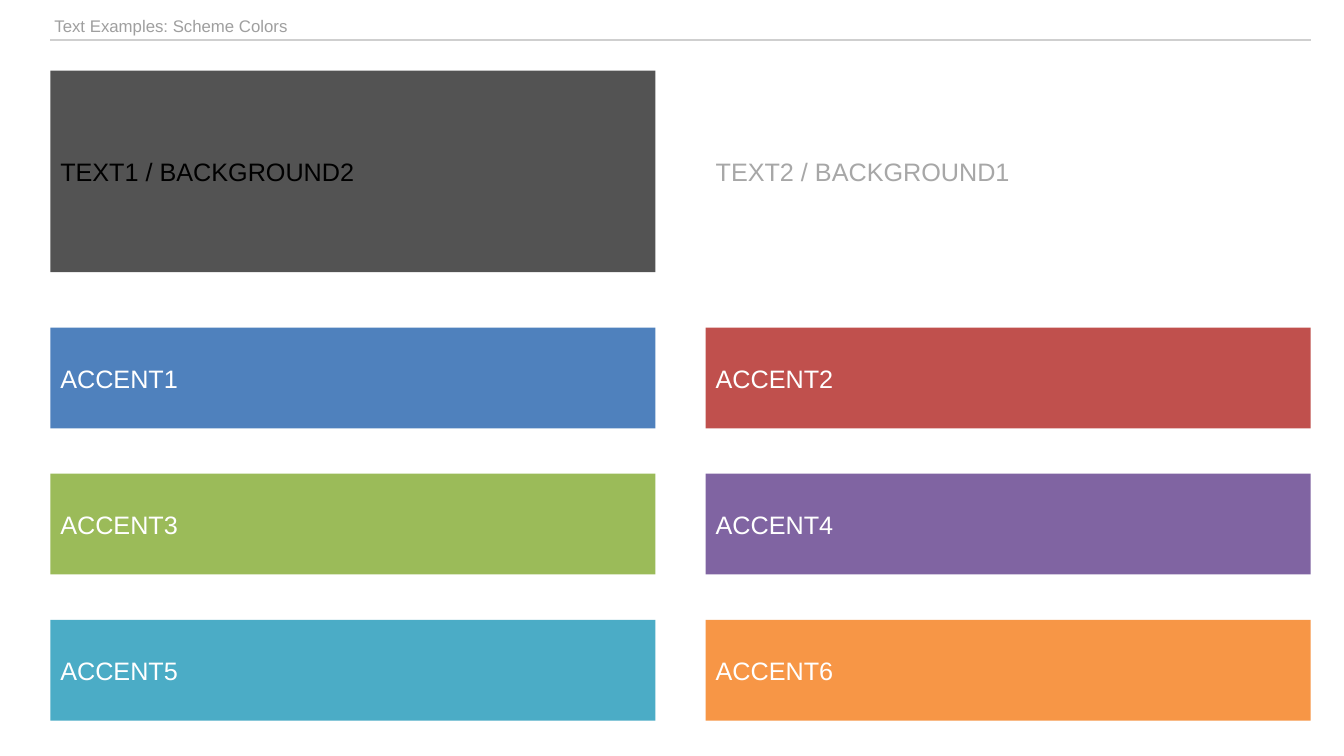
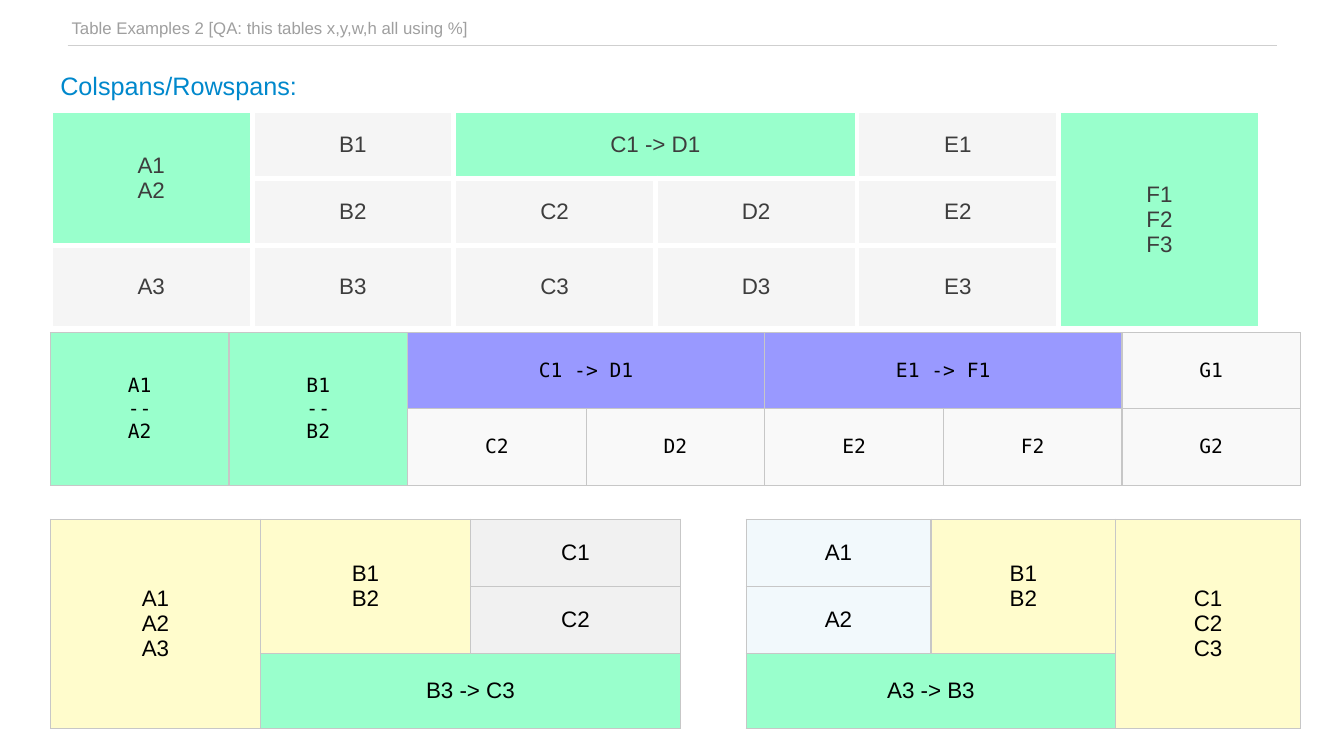
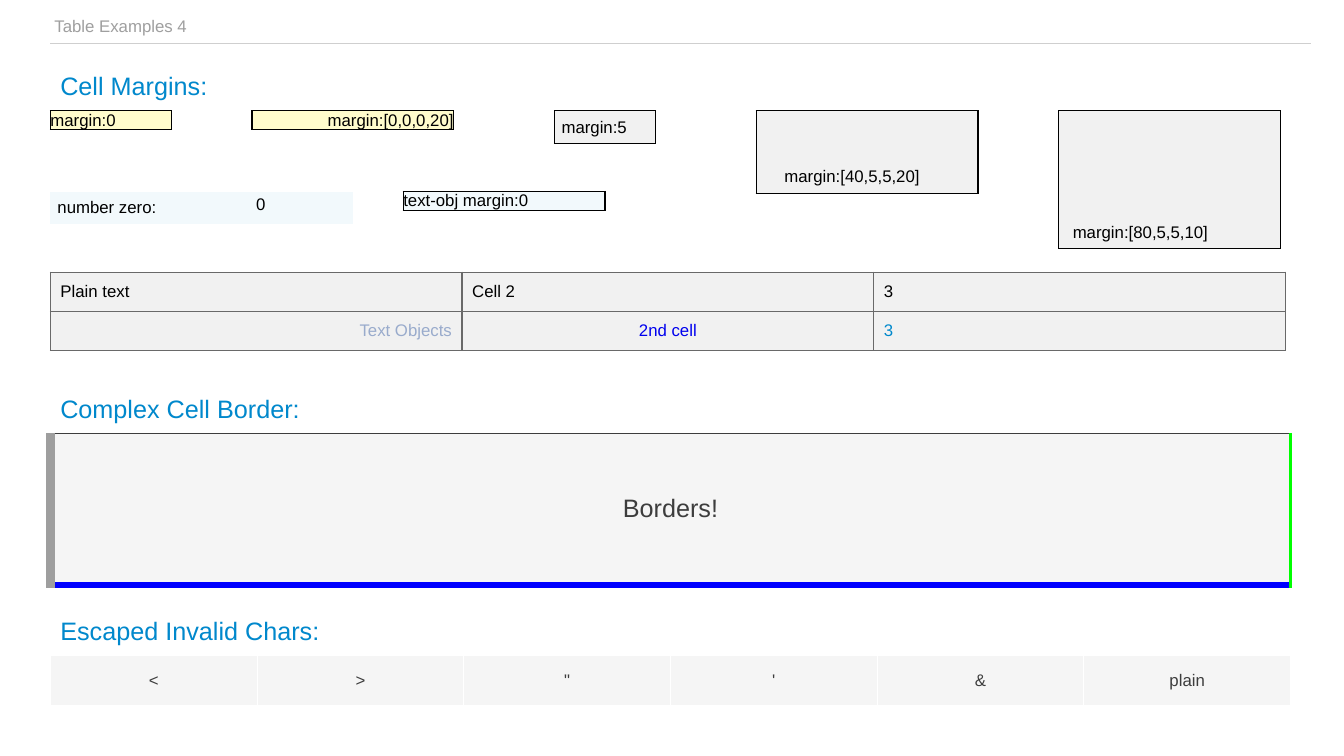
from lxml import etree
from pptx import Presentation
from pptx.dml.color import RGBColor
from pptx.enum import shapes, text
from pptx.oxml import ns
from pptx.util import Inches, Pt

COLORS = {
    "white": "FFFFFF", "black": "000000", "ink": "3D3D3D", "title": "9F9F9F",
    "rule": "CFCFCF", "heading": "0088CC", "slate": "535353", "silver": "A7A7A7",
    "accent1": "4F81BD", "accent2": "C0504D", "accent3": "9BBB59",
    "accent4": "8064A2", "accent5": "4BACC6", "accent6": "F79646",
    "mint": "99FFCC", "lilac": "9999FF", "yellow": "FFFCCC", "ice": "F2F9FC",
    "pale": "F5F5F5", "paler": "F9F9F9", "light": "F1F1F1",
    "grid": "C7C7C7", "dark grid": "696969", "steel": "99ABCC",
    "link": "0000EE", "gray": "9E9E9E", "green": "00FF00", "blue": "0000FF",
}
FONT, MONO = "Arial", "DejaVu Sans Mono"
LEFT, CENTER, RIGHT = text.PP_ALIGN.LEFT, text.PP_ALIGN.CENTER, text.PP_ALIGN.RIGHT
TOP, MIDDLE = text.MSO_ANCHOR.TOP, text.MSO_ANCHOR.MIDDLE
NO_STYLE = "{2D5ABB26-0587-4C30-8999-92F81FD0307C}"
PAD = (0.04,) * 4
FLUSH = (0,) * 4


def write(frame, content, size=12, color="black", font=FONT, align=LEFT):
    frame.text = content
    frame.word_wrap = True
    for line in frame.paragraphs:
        line.alignment = align
        line.font.size = Pt(size)
        line.font.name = font
        line.font.color.rgb = RGBColor.from_string(COLORS[color])


def add_grid(slide, left, top, width, height, rows, fill=None, tall=None, wide=None,
             row_height=None, borders=None, widths=None, insets=PAD, anchor=TOP, **style):
    """Cells are strings, None when covered, or (text, rows spanned, columns spanned).

    Borders map any of the sides "LRTB" to (color, points).
    Rows share the height unless row_height is given; at 0 they grow to fit the text.
    """
    count = len(rows[0])
    holder = slide.shapes.add_table(
        len(rows), count, Inches(left), Inches(top), Inches(width), Inches(height))
    table = holder.table
    table.first_row = table.horz_banding = False
    table._tbl.tblPr.find(ns.qn("a:tableStyleId")).text = NO_STYLE
    for column, column_width in zip(table.columns, widths or [width / count] * count):
        column.width = Inches(column_width)
    if row_height is not None:
        for table_row in table.rows:
            table_row.height = Inches(row_height)
        holder.height = Inches(height)
    for r, row in enumerate(rows):
        for c, entry in enumerate(row):
            cell = table.cell(r, c)
            properties = cell._tc.get_or_add_tcPr()
            for sides, (color, points) in (borders or {}).items():
                for side in sides:
                    line = etree.SubElement(
                        properties, ns.qn("a:ln" + side), w=str(Pt(points)))
                    solid = etree.SubElement(line, ns.qn("a:solidFill"))
                    etree.SubElement(solid, ns.qn("a:srgbClr"), val=COLORS[color])
            if entry is None:
                continue
            content, down, across = entry if isinstance(entry, tuple) else (entry, 1, 1)
            if down * across > 1:
                cell.merge(table.cell(r + down - 1, c + across - 1))
            cell_fill = tall if down > 1 else wide if across > 1 else fill
            if cell_fill:
                cell.fill.solid()
                cell.fill.fore_color.rgb = RGBColor.from_string(COLORS[cell_fill])
            cell.margin_left, cell.margin_top, cell.margin_right, cell.margin_bottom = (
                Inches(inset) for inset in insets)
            cell.vertical_anchor = anchor
            write(cell.text_frame, content, **style)
    return table


deck = Presentation()
deck.slide_width, deck.slide_height = Inches(13.33), Inches(7.5)

# Slide titles: one-cell tables ruled below
for title, left, top, width, height, row_height in [
    ("Text Examples: Scheme Colors", 0.5, 0.13, 12.5, 1, 0),
    ("Table Examples 2 [QA: this tables x,y,w,h all using %]", 0.67, 0.15, 12, 0.3, 0.3),
    ("Table Examples 4", 0.5, 0.13, 12.5, 0.3, 0.3),
]:
    slide = deck.slides.add_slide(deck.slide_layouts[6])
    add_grid(slide, left, top, width, height, [[title]], row_height=row_height,
             borders={"B": ("rule", 1)}, color="title")
scheme, spans, margins = deck.slides

# Color swatches and section headings
blocks = [
    (scheme, "TEXT1 / BACKGROUND2", 0.5, 0.7, 6, 2, "slate", "black"),
    (scheme, "TEXT2 / BACKGROUND1", 7, 0.7, 6, 2, "white", "silver"),
]
for i in range(6):
    blocks.append((scheme, f"ACCENT{i + 1}", 0.5 + 6.5 * (i % 2), 3.25 + 1.45 * (i // 2),
                   6, 1, f"accent{i + 1}", "white"))
for slide, heading, top in [
    (spans, "Colspans/Rowspans:", 0.7),
    (margins, "Cell Margins:", 0.7),
    (margins, "Complex Cell Border:", 3.9),
    (margins, "Escaped Invalid Chars:", 6.1),
]:
    blocks.append((slide, heading, 0.5, top, 4, 0.3, "white", "heading"))
for slide, label, left, top, width, height, fill, color in blocks:
    block = slide.shapes.add_shape(
        shapes.MSO_SHAPE.RECTANGLE, Inches(left), Inches(top), Inches(width), Inches(height))
    block.shadow.inherit = False
    block.fill.solid()
    block.fill.fore_color.rgb = RGBColor.from_string(COLORS[fill])
    block.line.fill.background()
    block.text_frame.vertical_anchor = MIDDLE
    write(block.text_frame, label, size=18, color=color)

# Column and row spans
centered = {"anchor": MIDDLE, "align": CENTER}
gray_lines = {"LRTB": ("grid", 1)}
add_grid(spans, 0.5, 1.1, 12, 2, [
    [("A1\nA2", 2, 1), "B1", ("C1 -> D1", 1, 2), None, "E1", ("F1\nF2\nF3", 3, 1)],
    [None, "B2", "C2", "D2", "E2", None],
    ["A3", "B3", "C3", "D3", "E3", None],
], "pale", tall="mint", wide="mint", borders={"LRTB": ("white", 4)},
    size=16, color="ink", **centered)
add_grid(spans, 0.5, 3.3, 12.4, 1.5, [
    [("A1\n--\nA2", 2, 1), ("B1\n--\nB2", 2, 1), ("C1 -> D1", 1, 2), None,
     ("E1 -> F1", 1, 2), None, "G1"],
    [None, None, "C2", "D2", "E2", "F2", "G2"],
], "paler", tall="mint", wide="lilac", borders=gray_lines, size=14, font=MONO, **centered)
add_grid(spans, 0.5, 5.15, 6.25, 2, [
    [("A1\nA2\nA3", 3, 1), ("B1\nB2", 2, 1), "C1"],
    [None, None, "C2"],
    [None, ("B3 -> C3", 1, 2), None],
], "light", tall="yellow", wide="mint", borders=gray_lines, insets=FLUSH, size=16, **centered)
add_grid(spans, 7.4, 5.15, 5.5, 2, [
    ["A1", ("B1\nB2", 2, 1), ("C1\nC2\nC3", 3, 1)],
    ["A2", None, None],
    [("A3 -> B3", 1, 2), None, None],
], "ice", tall="yellow", wide="mint", borders=gray_lines, insets=FLUSH, size=16, **centered)

# Cell margins
for label, left, top, width, fill, insets, align in [
    ("margin:0", 0.5, 1.1, 1.2, "yellow", FLUSH, LEFT),
    ("margin:[0,0,0,20]", 2.5, 1.1, 2, "yellow", (0.28, 0, 0, 0), RIGHT),
    ("margin:5", 5.5, 1.1, 1, "light", (0.07,) * 4, LEFT),
    ("margin:[40,5,5,20]", 7.5, 1.1, 2.2, "light", (0.28, 0.56, 0.07, 0.07), LEFT),
    ("margin:[80,5,5,10]", 10.5, 1.1, 2.2, "light", (0.14, 1.11, 0.07, 0.07), LEFT),
    ("text-obj margin:0", 4, 1.9, 2, "ice", FLUSH, LEFT),
]:
    add_grid(margins, left, top, width, 1, [[label]], fill, row_height=0,
             borders={"LRTB": ("black", 1)}, insets=insets, align=align)
zero = add_grid(margins, 0.5, 1.9, 3, 1, [["number zero:", "0"]], "ice", row_height=0,
                widths=[2, 1], insets=(0.07,) * 4).cell(0, 1)
zero.margin_left = zero.margin_top = zero.margin_right = zero.margin_bottom = Inches(0.04)

# Plain text and text objects
objects = add_grid(margins, 0.5, 2.7, 12.25, 1, [
    ["Plain text", "Cell 2", "3"],
    ["Text Objects", "2nd cell", "3"],
], "light", row_height=0, borders={"LRTB": ("dark grid", 1)}, insets=(0.1,) * 4)
for c, (color, align) in enumerate([("steel", RIGHT), ("link", CENTER), ("heading", LEFT)]):
    cell = objects.cell(1, c)
    write(cell.text_frame, cell.text, color=color, align=align)

# A different border on each side
add_grid(margins, 0.5, 4.3, 12.3, 1, [["Borders!"]], "pale", row_height=1.5,
         borders={"L": ("gray", 7), "R": ("green", 3), "T": ("ink", 1), "B": ("blue", 5)},
         size=18, color="ink", **centered)

# Escaped characters
add_grid(margins, 0.5, 6.5, 12.3, 1, [["<", ">", '"', "'", "&", "plain"]], "pale",
         row_height=0.5, borders={"LRTB": ("white", 1)}, color="ink", **centered)

deck.save("out.pptx")
